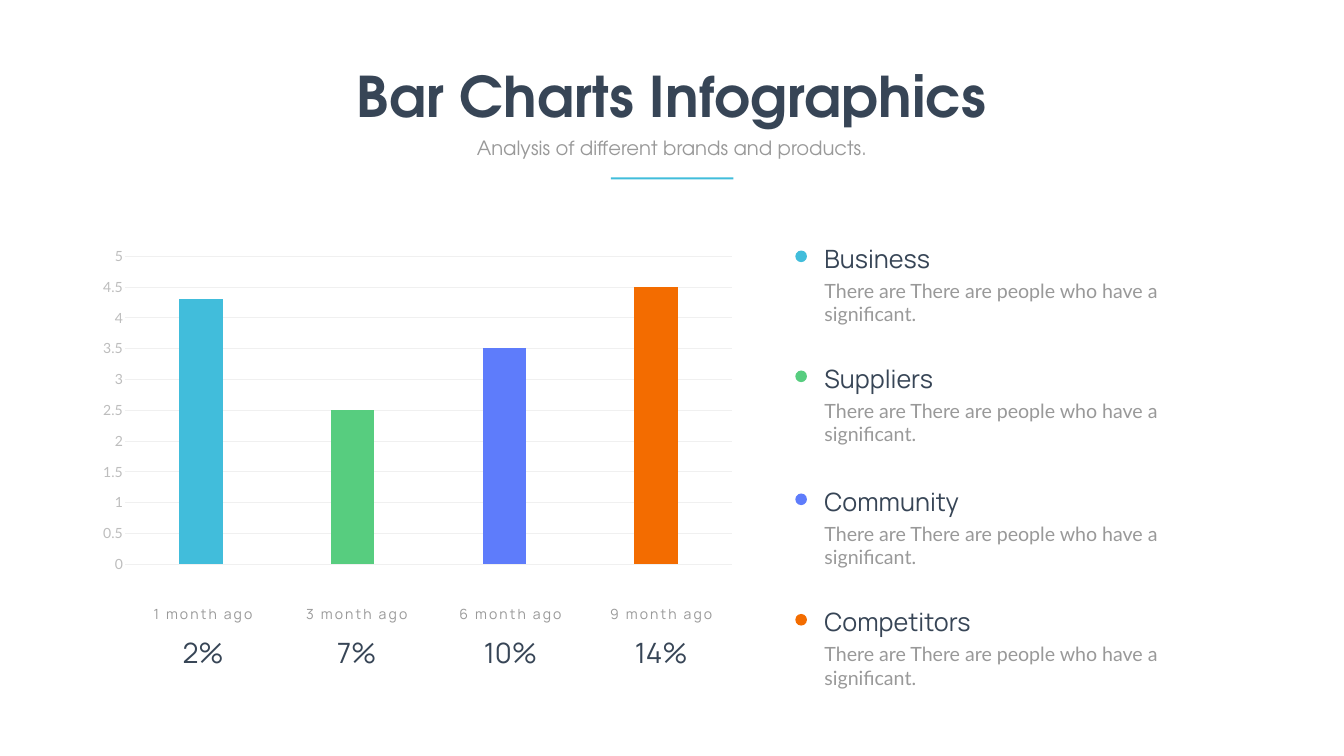
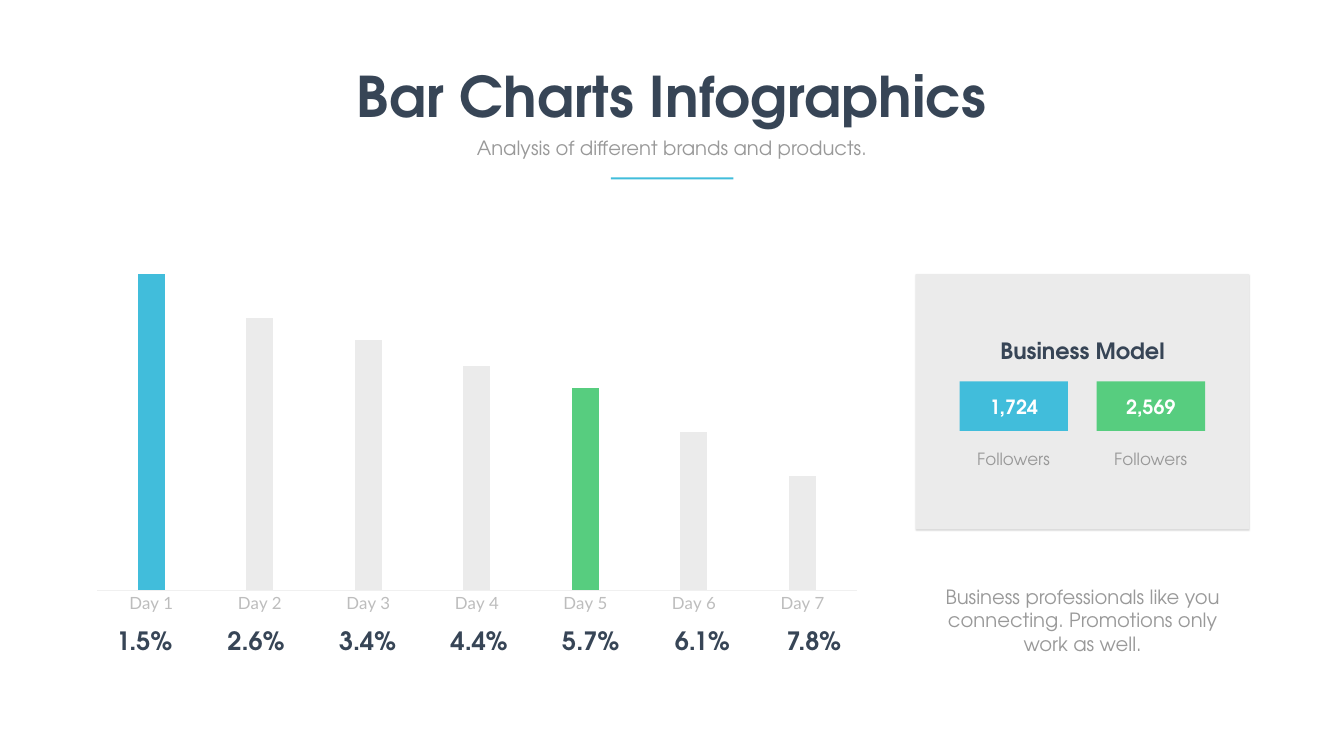
from dataclasses import dataclass

from lxml import etree
from pptx import Presentation
from pptx import util as u
from pptx.chart.data import CategoryChartData
from pptx.dml.color import RGBColor
from pptx.enum import chart as charts, shapes, text
from pptx.oxml import parse_xml
from pptx.oxml.ns import nsdecls, qn

COLOURS = {
    "ink": "374556", "grey": "999999", "axis": "BDBDBD", "grid": "F0F0F0",
    "panel": "EBEBEB", "white": "FFFFFF", "shadow": "000104",
    "blue": "41BDDB", "green": "57CD7F", "violet": "5E7CFB", "orange": "F36C00",
}
HEADING, LABEL, BODY = "TeX Gyre Adventor", "Manrope", "Lato"
CENTER, LEFT = text.PP_ALIGN.CENTER, text.PP_ALIGN.LEFT


@dataclass(frozen=True)
class Box:
    """A rectangle in points."""
    left: float
    top: float
    width: float
    height: float

    def lengths(self) -> list[u.Pt]:
        return [u.Pt(v) for v in (self.left, self.top, self.width, self.height)]


@dataclass(frozen=True)
class Style:
    font: str
    size: float
    colour: str
    bold: bool = False
    align: text.PP_ALIGN = CENTER
    spacing: float = 0
    wrap: bool = True


@dataclass(frozen=True)
class Topic:
    name: str
    colour: str
    top: float


@dataclass(frozen=True)
class Period:
    caption: str
    share: str
    left: float


@dataclass(frozen=True)
class Followers:
    count: str
    colour: str


@dataclass(frozen=True)
class Bars:
    box: Box
    categories: tuple[str, ...]
    values: tuple[float, ...]
    colours: tuple[str, ...]
    gap: int
    overlap: int
    size: float
    top_value: float
    plot: dict[str, float]  # inner plot area as fractions of the chart


STYLES = {
    "title": Style(HEADING, 80, "ink", bold=True, wrap=False),
    "subtitle": Style(HEADING, 28, "grey"),
    "period": Style(LABEL, 20, "grey", spacing=3),
    "share": Style(LABEL, 40, "ink"),
    "topic": Style(LABEL, 36, "ink", align=LEFT),
    "detail": Style(BODY, 28, "grey", align=LEFT),
    "day share": Style(HEADING, 36, "ink", bold=True),
    "card title": Style(HEADING, 32, "ink", bold=True),
    "count": Style(HEADING, 28, "white", bold=True),
    "unit": Style(HEADING, 24, "grey"),
}

MONTH_BARS = Bars(
    Box(128, 343.5, 935.5, 484.5), ("1", "2", "3", "4"), (4.3, 2.5, 3.5, 4.5),
    ("blue", "green", "violet", "orange"), 250, -27, 20, 5,
    {"x": 0.054, "y": 0.046, "w": 0.927, "h": 0.908})
DAY_BARS = Bars(
    Box(116, 348.5, 1130.5, 538), tuple(f"Day {n}" for n in range(1, 8)),
    (100, 86, 79, 71, 64, 50, 36),
    ("blue", "panel", "panel", "panel", "green", "panel", "panel"), 300, -20, 24, 100,
    {"x": 0.02, "y": 0.08, "w": 0.96, "h": 0.84})

PERIODS = (
    Period("1 month ago", "2%", 185), Period("3 month ago", "7%", 404.6),
    Period("6 month ago", "10%", 624.2), Period("9 month ago", "14%", 839.5),
)
TOPICS = (
    Topic("Business", "blue", 343.4), Topic("Suppliers", "green", 514.8),
    Topic("Community", "violet", 690.5), Topic("Competitors", "orange", 862.6),
)
TOPIC_DETAIL = "There are There are people who have a significant."
DAY_SHARES = ("1.5%", "2.6%", "3.4%", "4.4%", "5.7%", "6.1%", "7.8%")
FOLLOWERS = (Followers("1,724", "blue"), Followers("2,569", "green"))


def rgb(name: str) -> RGBColor:
    return RGBColor.from_string(COLOURS[name])


def apply(target, values: dict) -> None:
    for attribute, value in values.items():
        setattr(target, attribute, value)


def fill(part, colour: str) -> None:
    part.fill.solid()
    part.fill.fore_color.rgb = rgb(colour)


def set_font(font, family: str, size: float, colour: str, bold: bool = False) -> None:
    apply(font, {"name": family, "size": u.Pt(size), "bold": bold})
    font.color.rgb = rgb(colour)


def add_text(slide, box: Box, words: str, style_name: str) -> None:
    style = STYLES[style_name]
    frame = slide.shapes.add_textbox(*box.lengths()).text_frame
    apply(frame, {"word_wrap": style.wrap,
                  "auto_size": text.MSO_AUTO_SIZE.SHAPE_TO_FIT_TEXT})
    paragraph = frame.paragraphs[0]
    paragraph.alignment = style.align
    run = paragraph.add_run()
    run.text = words
    set_font(run.font, style.font, style.size, style.colour, style.bold)
    if style.spacing:
        run._r.get_or_add_rPr().set("spc", str(round(style.spacing * 100)))


def add_block(slide, box: Box, colour: str, kind=shapes.MSO_SHAPE.RECTANGLE):
    block = slide.shapes.add_shape(kind, *box.lengths())
    block.shadow.inherit = False
    fill(block, colour)
    block.line.fill.background()
    return block


def add_shadow(block) -> None:
    effects = block._element.spPr.find(qn("a:effectLst"))
    effects.append(parse_xml(
        f'<a:outerShdw {nsdecls("a")} blurRad="{u.Pt(2)}" dist="{u.Pt(1)}" '
        f'dir="{45 * 60000}" algn="tl" rotWithShape="0">'
        f'<a:srgbClr val="{COLOURS["shadow"]}"><a:alpha val="15000"/></a:srgbClr>'
        '</a:outerShdw>'))


def set_plot_area(chart, plot: dict[str, float]) -> None:
    area = chart._chartSpace.chart.plotArea
    for old in area.findall(qn("c:layout")):
        area.remove(old)
    layout = etree.Element(qn("c:layout"))
    manual = etree.SubElement(layout, qn("c:manualLayout"))
    settings = {"layoutTarget": "inner", "xMode": "edge", "yMode": "edge", **plot}
    for tag, value in settings.items():
        etree.SubElement(manual, qn(f"c:{tag}")).set("val", str(value))
    area.insert(0, layout)


def add_bars(slide, bars: Bars):
    data = CategoryChartData()
    data.categories = bars.categories
    data.add_series("Series 1", bars.values)
    chart = slide.shapes.add_chart(
        charts.XL_CHART_TYPE.COLUMN_CLUSTERED, *bars.box.lengths(), data).chart
    apply(chart, {"has_legend": False, "has_title": False})
    set_font(chart.font, BODY, bars.size, "grey")
    plot = chart.plots[0]
    apply(plot, {"gap_width": bars.gap, "overlap": bars.overlap,
                 "vary_by_categories": False})
    series = plot.series[0]
    fill(series.format, "blue")
    for index, colour in enumerate(bars.colours):
        fill(series.points[index].format, colour)
    for axis in (chart.category_axis, chart.value_axis):
        apply(axis, {"major_tick_mark": charts.XL_TICK_MARK.NONE,
                     "minor_tick_mark": charts.XL_TICK_MARK.NONE,
                     "has_major_gridlines": False})
        set_font(axis.tick_labels.font, BODY, bars.size, "axis")
    apply(chart.value_axis, {"minimum_scale": 0, "maximum_scale": bars.top_value})
    set_plot_area(chart, bars.plot)
    return chart


def set_hairline(line) -> None:
    line.color.rgb = rgb("grid")
    line.width = u.Pt(0.75)


def add_heading(slide) -> None:
    add_text(slide, Box(498.2, 84.2, 923, 104.4), "Bar Charts Infographics", "title")
    add_text(slide, Box(615.6, 190.8, 688.3, 41),
             "Analysis of different brands and products.", "subtitle")
    add_block(slide, Box(872.6, 253.4, 175, 2.9), "blue")


def build_months(slide) -> None:
    # Chart with value scale and gridlines
    chart = add_bars(slide, MONTH_BARS)
    chart.category_axis.visible = False
    scale = chart.value_axis
    apply(scale, {"major_unit": 0.5, "has_major_gridlines": True})
    scale.tick_labels.number_format = "General"
    scale.tick_labels.number_format_is_linked = False
    scale.format.line.fill.background()
    set_hairline(scale.major_gridlines.format.line)

    # Periods below the bars
    for period in PERIODS:
        add_text(slide, Box(period.left + 12.2, 904.3, 185.8, 55.4), period.share, "share")
        add_text(slide, Box(period.left, 861.1, 210.2, 31.7), period.caption, "period")

    # Topics beside the chart
    for topic in TOPICS:
        add_text(slide, Box(1170.7, topic.top, 397.4, 51.1), topic.name, "topic")
        add_text(slide, Box(1170.7, topic.top + 51.1, 627.1, 41), TOPIC_DETAIL, "detail")
        add_block(slide, Box(1136.2, topic.top + 14.5, 16.6, 16.6), topic.colour,
                  shapes.MSO_SHAPE.OVAL)
    add_heading(slide)


def build_days(slide) -> None:
    # Card behind the follower counts
    card = add_block(slide, Box(1308.2, 391.7, 475.9, 364.3), "panel",
                     shapes.MSO_SHAPE.ROUNDED_RECTANGLE)
    card.adjustments[0] = 0
    add_shadow(card)

    # Chart with day labels
    chart = add_bars(slide, DAY_BARS)
    chart.value_axis.visible = False
    set_hairline(chart.category_axis.format.line)
    for index, share in enumerate(DAY_SHARES):
        add_text(slide, Box(145.4 + 159.4 * index, 889.9, 121.7, 51.1), share, "day share")

    # Card content and the remark below it
    add_text(slide, Box(1317.6, 831.6, 457.9, 108.7),
             "Business professionals like you connecting. Promotions only work as well.",
             "subtitle")
    add_text(slide, Box(1372.3, 478.1, 348.5, 46.1), "Business Model", "card title")
    for index, followers in enumerate(FOLLOWERS):
        left = 1370.9 + 195.8 * index
        add_block(slide, Box(left, 545, 154.8, 70.6), followers.colour)
        add_text(slide, Box(left + 22.7, 560.2, 109.4, 41), followers.count, "count")
        add_text(slide, Box(left, 637.9, 154, 36), "Followers", "unit")
    add_heading(slide)


def main() -> None:
    deck = Presentation()
    apply(deck, {"slide_width": u.Pt(1920), "slide_height": u.Pt(1080)})
    for build in (build_months, build_days):
        build(deck.slides.add_slide(deck.slide_layouts[6]))
    deck.save("out.pptx")


if __name__ == "__main__":
    main()
